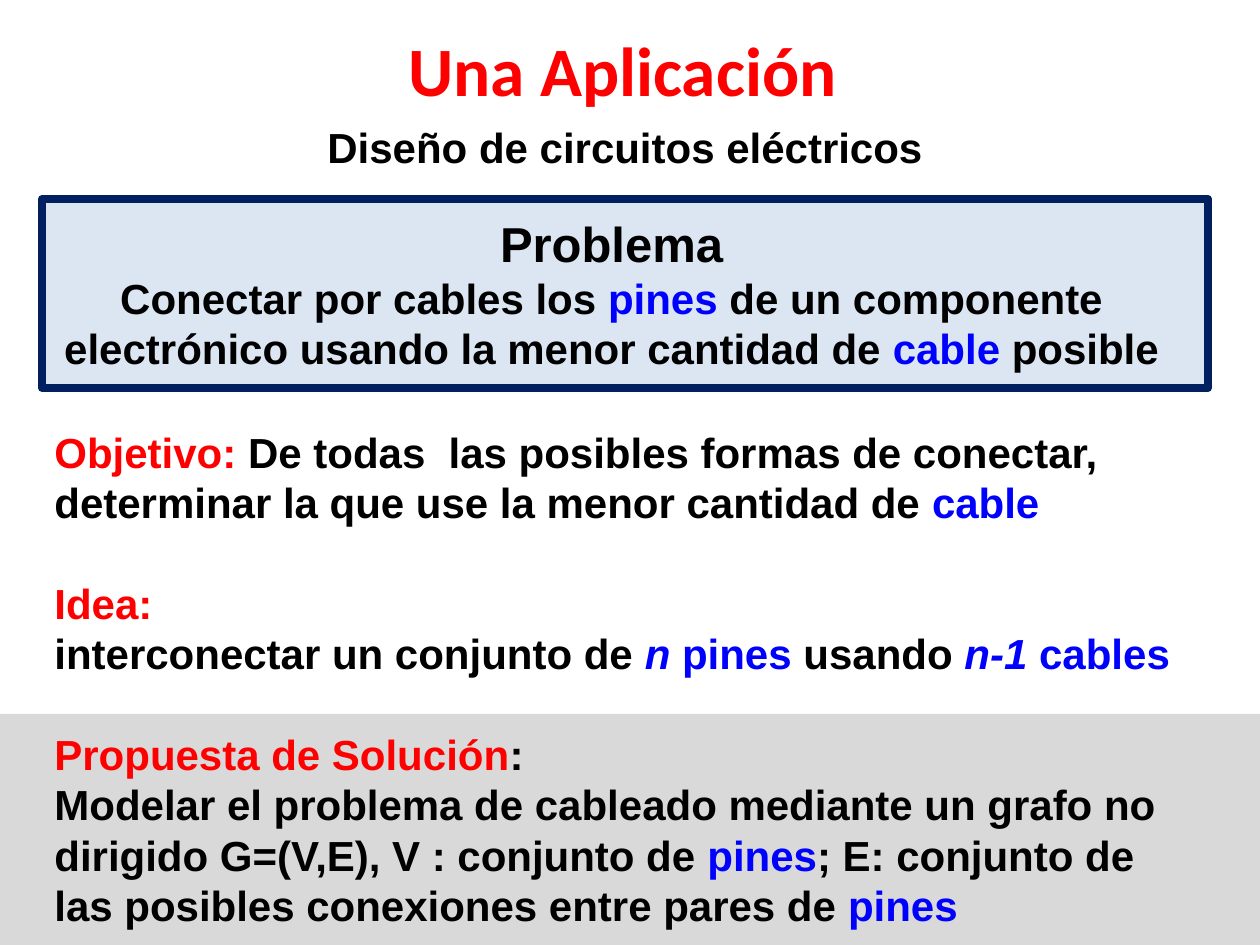
from pptx import Presentation
from pptx.dml.color import RGBColor as Rgb
from pptx.enum.shapes import MSO_SHAPE as Shape
from pptx.enum.text import MSO_ANCHOR as Anchor, PP_ALIGN as Align
from pptx.util import Pt

PX = 914400 // 126  # EMU in one px
HEX = {"black": "000000", "red": "FF0000", "blue": "0000FF",
       "navy": "002060", "pale": "DCE6F2", "gray": "D9D9D9"}
GAP = 28.7  # one line of body text, in points

# Content: paragraphs of (text, colour) or (text, colour, italic) runs
TITLE = [[("Una Aplicación ", "red")]]
TOPIC = [[("Diseño de circuitos eléctricos", "black")]]
PROBLEM = [
    [("Problema", "black")],
    [("Conectar por cables los ", "black"), ("pines ", "blue"),
     ("de un componente electrónico usando la menor cantidad de ", "black"),
     ("cable", "blue"), (" posible", "black")],
]
BODY = [
    [("Objetivo:", "red"),
     (" De todas  las posibles formas de conectar, determinar la que use "
      "la menor cantidad de ", "black"), ("cable", "blue")],
    [("Idea:", "red")],
    [("interconectar un conjunto de ", "black"), ("n", "blue", True),
     (" pines ", "blue"), ("usando ", "black"), ("n-1 ", "blue", True),
     ("cables", "blue")],
    [("Propuesta de Solución", "red"), (":", "black")],
    [("Modelar el problema de cableado mediante un grafo no dirigido "
      "G=(V,E), V : conjunto de ", "black"), ("pines", "blue"),
     ("; E: conjunto de las posibles conexiones entre pares de ", "black"),
     ("pines", "blue")],
]


def color(name):
    return Rgb.from_string(HEX[name])


def scale(*box):
    return [n * PX for n in box]


def add_rect(slide, box, fill, line=None):
    rect = slide.shapes.add_shape(Shape.RECTANGLE, *scale(*box))
    rect.shadow.inherit = False
    rect.fill.solid()
    rect.fill.fore_color.rgb = color(fill)
    if line:
        rect.line.color.rgb = color(line)
        rect.line.width = Pt(4.5)
    else:
        rect.line.fill.background()
    return rect


def add_box(slide, box):
    return slide.shapes.add_textbox(*scale(*box))


def write(shape, paras, align=Align.LEFT, anchor=Anchor.TOP,
          size=24, face="Arial"):
    frame = shape.text_frame
    frame.word_wrap = True
    frame.vertical_anchor = anchor
    for i, runs in enumerate(paras):
        para = frame.paragraphs[0] if i == 0 else frame.add_paragraph()
        para.alignment = align
        for text, tint, *slant in runs:
            run = para.add_run()
            run.text = text
            form = {"name": face, "size": Pt(size), "bold": True,
                    "italic": bool(slant)}
            for key, value in form.items():
                setattr(run.font, key, value)
            run.font.color.rgb = color(tint)
    return frame.paragraphs


deck = Presentation()
deck.slide_width, deck.slide_height = scale(1260, 945)
slide = deck.slides.add_slide(deck.slide_layouts[6])

# Band behind the proposed solution
add_rect(slide, (0, 714, 1260, 231), "gray")

# Framed problem, its heading larger and a little left of centre
frame = add_rect(slide, (42, 199, 1166, 189), "pale", "navy")
head = write(frame, PROBLEM, Align.CENTER, Anchor.MIDDLE)[0]
head.runs[0].font.size = Pt(28)
head._p.get_or_add_pPr().set("marR", str(27 * PX))

# Topic and body
write(add_box(slide, (42, 115, 1166, 63)), TOPIC, Align.CENTER)
lines = write(add_box(slide, (42, 420, 1166, 572)), BODY)
for i in (1, 3):  # each new section stands one line apart
    lines[i].space_before = Pt(GAP)

# Title
write(add_box(slide, (32, 21, 1197, 95)), TITLE, Align.CENTER,
      Anchor.MIDDLE, 39.6, "Calibri")

deck.save("out.pptx")
